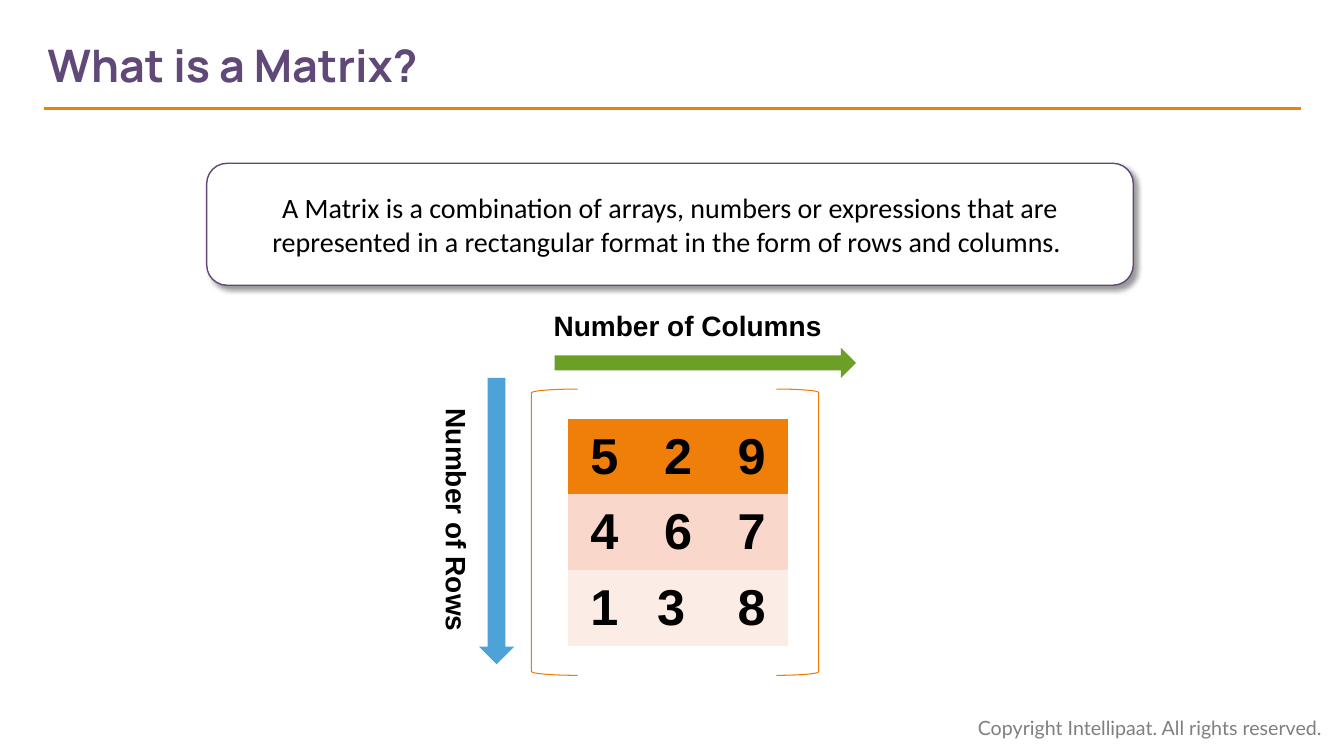
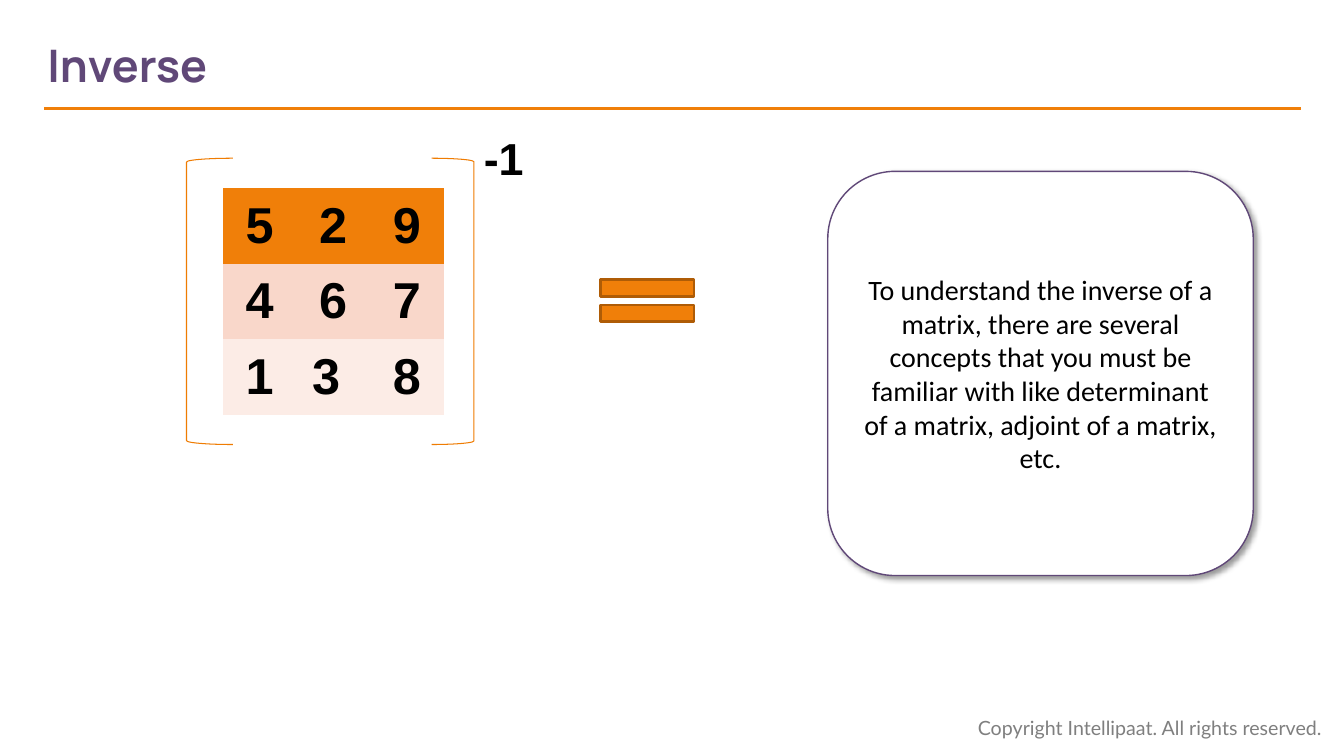
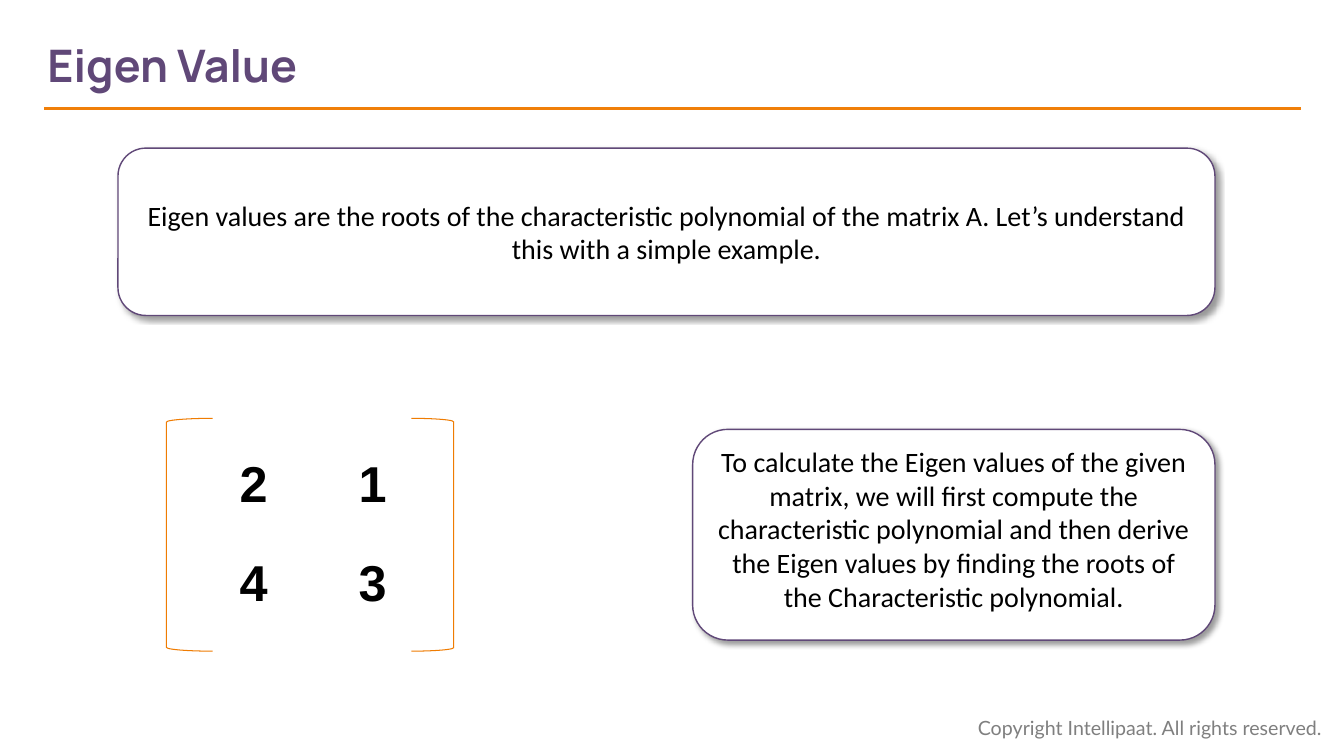
from pptx import Presentation, util as u
from pptx.dml.color import RGBColor
from pptx.enum import shapes, text
from pptx.oxml import parse_xml
from pptx.oxml.ns import nsdecls, qn

SHAPE = shapes.MSO_SHAPE
MIDDLE, TOP = text.MSO_ANCHOR.MIDDLE, text.MSO_ANCHOR.TOP
LEFT, CENTER = text.PP_ALIGN.LEFT, text.PP_ALIGN.CENTER

THEME = {
    "orange": "F07F09", "bracket": "EF7C02", "edge": "AF5C06",
    "purple": "604878", "green": "6B9F25", "blue": "4DA3D8", "white": "FFFFFF",
    "bands": ["F07F09", "F9D7CA", "FCECE6"],
    "title": {"name": "Manrope", "size": 32, "bold": True, "color": "604878"},
    "body": {"name": "Calibri", "size": 20, "bold": False, "color": "000000"},
    "label": {"name": "Arial", "size": 20, "bold": True, "color": "000000"},
    "power": {"name": "Arial", "size": 32, "bold": True, "color": "000000"},
    "number": {"name": "Arial", "size": 36, "bold": True, "color": "000000"},
    "footer": {"name": "Lato", "size": 14, "bold": False, "color": "7F7F7F"},
}
NO_TABLE_STYLE = "{2D5ABB26-0587-4C30-8999-92F81FD0307C}"
FOOTER = "Copyright Intellipaat. All rights reserved."
SQUARE = [["5", "2", "9"], ["4", "6", "7"], ["1", "3 ", "8"]]

SLIDES = [
    {
        "title": "What is a Matrix?",
        "cards": [((2.05, 1.62, 9.19, 1.21), MIDDLE,
                   "A Matrix is a combination of arrays, numbers or expressions that are "
                   "represented in a rectangular format in the form of rows and columns. ")],
        "matrix": {"at": (5.27, 3.86), "height": 2.84, "rows": SQUARE,
                   "cell": (0.73, 0.75), "bands": THEME["bands"]},
        "symbols": [(SHAPE.RIGHT_ARROW, (5.5, 3.45, 2.99, 0.3), "green", None),
                    (SHAPE.DOWN_ARROW, (4.75, 3.75, 0.35, 2.84), "blue", None)],
        "labels": [("Number of Rows", (3.06, 4.94, 2.94, 0.44), "label", CENTER, 90),
                   ("Number of Columns", (5.21, 3.01, 3.22, 0.44), "label", CENTER, 0)],
    },
    {
        "title": "Inverse",
        "cards": [((8.21, 1.7, 4.22, 4.01), MIDDLE,
                   "To understand the inverse of a matrix, there are several concepts that "
                   "you must be familiar with like determinant of a matrix, adjoint of a "
                   "matrix, etc.")],
        "matrix": {"at": (1.85, 1.57), "height": 2.84, "rows": SQUARE,
                   "cell": (0.73, 0.75), "bands": THEME["bands"]},
        "symbols": [(SHAPE.MATH_EQUAL, (5.79, 2.63, 1.26, 0.71), "orange", "edge")],
        "labels": [("-1", (4.7, 1.25, 0.69, 0.64), "power", LEFT, 0)],
    },
    {
        "title": "Eigen Value",
        "cards": [((1.17, 1.47, 10.88, 1.66), MIDDLE,
                   "Eigen values are the roots of the characteristic polynomial of the "
                   "matrix A. Let’s understand this with a simple example."),
                  ((6.87, 4.26, 5.18, 2.09), TOP,
                   "To calculate the Eigen values of the given matrix, we will first compute "
                   "the characteristic polynomial and then derive the Eigen values by finding "
                   "the roots of the Characteristic polynomial.")],
        "matrix": {"at": (1.65, 4.15), "height": 2.31, "rows": [["2", "1"], ["4", "3"]],
                   "cell": (1.18, 0.98), "bands": None},
        "symbols": [],
        "labels": [],
    },
]


def rgb(value):
    return RGBColor.from_string(value)


def inches(box):
    return [u.Inches(v) for v in box]


def write(tf, content, style, align=LEFT):
    p = tf.paragraphs[0]
    p.alignment = align
    r = p.add_run()
    r.text = content
    look = THEME[style]
    for key, value in {"name": look["name"], "size": u.Pt(look["size"]),
                       "bold": look["bold"]}.items():
        setattr(r.font, key, value)
    r.font.color.rgb = rgb(look["color"])


def add_label(s, content, box, style, align=LEFT, rotation=0):
    sp = s.shapes.add_textbox(*inches(box))
    sp.rotation = rotation
    sp.text_frame.word_wrap = True
    write(sp.text_frame, content, style, align)
    return sp


def add_shape(s, kind, box, fill=None, line=None, width=1):
    sp = s.shapes.add_shape(kind, *inches(box))
    sp.shadow.inherit = False
    if fill:
        sp.fill.solid()
        sp.fill.fore_color.rgb = rgb(THEME[fill])
    else:
        sp.fill.background()
    if line:
        sp.line.color.rgb = rgb(THEME[line])
        sp.line.width = u.Pt(width)
    else:
        sp.line.fill.background()
    return sp


def add_card(s, box, anchor, content):
    sp = add_shape(s, SHAPE.ROUNDED_RECTANGLE, box, "white", "purple")
    sp.element.spPr.find(qn("a:effectLst")).append(parse_xml(
        f'<a:outerShdw {nsdecls("a")} blurRad="{u.Pt(4)}" dist="{u.Pt(3)}" '
        'dir="2700000" algn="tl" rotWithShape="0"><a:srgbClr val="000000">'
        '<a:alpha val="40000"/></a:srgbClr></a:outerShdw>'))
    tf = sp.text_frame
    tf.word_wrap = True
    tf.vertical_anchor = anchor
    write(tf, content, "body", CENTER)


def add_matrix(s, at, height, rows, cell, bands):
    x, y = at
    span, nudge = 2.85, 0.03
    left_width, right_width = 0.46, 0.42
    add_shape(s, SHAPE.LEFT_BRACKET, (x, y, left_width, height), None, "bracket", 0.75)
    add_shape(s, SHAPE.RIGHT_BRACKET, (x + span - right_width, y, right_width, height),
              None, "bracket", 0.75)
    w, h = cell[0] * len(rows[0]), cell[1] * len(rows)
    box = (x + (span - w) / 2 + nudge, y + (height - h) / 2, w, h)
    table = s.shapes.add_table(len(rows), len(rows[0]), *inches(box)).table
    table.first_row = table.horz_banding = False
    table._tbl.tblPr.find(qn("a:tableStyleId")).text = NO_TABLE_STYLE
    for i, row in enumerate(rows):
        for j, value in enumerate(row):
            c = table.cell(i, j)
            c.vertical_anchor = MIDDLE
            if bands:
                c.fill.solid()
                c.fill.fore_color.rgb = rgb(bands[i])
            else:
                c.fill.background()
            write(c.text_frame, value, "number", CENTER)


def prepare_layout(layout):
    for ph in list(layout.placeholders):
        if ph.placeholder_format.type != shapes.PP_PLACEHOLDER.TITLE:
            ph.element.getparent().remove(ph.element)
    title = layout.placeholders[0]
    box = inches((0.47, 0.22, 9.47, 0.84))
    for key, value in zip(("left", "top", "width", "height"), box):
        setattr(title, key, value)


def share_frame(s, layout):
    footer = add_label(s, FOOTER, (9.6, 7.05, 3.67, 0.34), "footer")
    rule = s.shapes.add_connector(shapes.MSO_CONNECTOR.STRAIGHT,
                                  *inches((12.9, 1.08, 0.44, 1.08)))
    rule.line.color.rgb = rgb(THEME["orange"])
    rule.line.width = u.Pt(2.25)
    rule.element.spPr.append(parse_xml(f'<a:effectLst {nsdecls("a")}/>'))
    for sp in (footer, rule):
        layout.shapes.element.append(sp.element)


def add_title(s, content):
    tf = s.shapes.title.text_frame
    for key, value in {"margin_left": 0, "vertical_anchor": MIDDLE, "word_wrap": True,
                       "auto_size": text.MSO_AUTO_SIZE.NONE}.items():
        setattr(tf, key, value)
    write(tf, content, "title")


def main():
    prs = Presentation()
    prs.slide_width, prs.slide_height = inches((13.33, 7.5))
    layout = prs.slide_layouts[5]
    prepare_layout(layout)
    for number, page in enumerate(SLIDES):
        s = prs.slides.add_slide(layout)
        if number == 0:
            share_frame(s, layout)
        add_title(s, page["title"])
        for card in page["cards"]:
            add_card(s, *card)
        add_matrix(s, **page["matrix"])
        for kind, box, fill, line in page["symbols"]:
            add_shape(s, kind, box, fill, line, 2)
        for label in page["labels"]:
            add_label(s, *label)
    prs.save("out.pptx")


if __name__ == "__main__":
    main()
